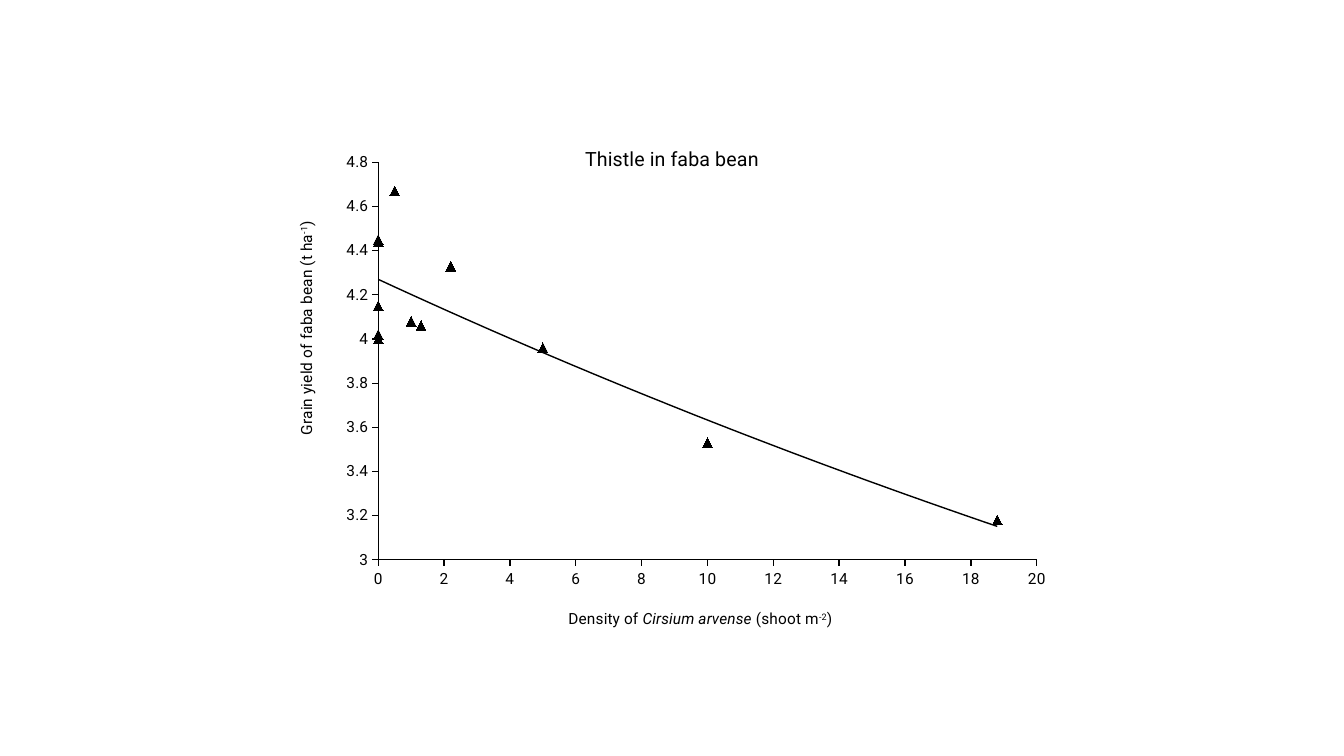
from lxml import etree
from pptx import Presentation
from pptx.chart.data import XyChartData
from pptx.dml.color import RGBColor
from pptx.enum.chart import XL_CHART_TYPE, XL_MARKER_STYLE, XL_TICK_LABEL_POSITION, XL_TICK_MARK
from pptx.oxml import parse_xml
from pptx.oxml.ns import nsdecls, qn
from pptx.util import Cm, Pt

BLACK = RGBColor(0, 0, 0)
FONT = "Roboto"
SCATTER = XL_CHART_TYPE.XY_SCATTER
TRIANGLE = XL_MARKER_STYLE.TRIANGLE
LABELS_LOW = XL_TICK_LABEL_POSITION.LOW
TICK_OUTSIDE = XL_TICK_MARK.OUTSIDE
TICK_NONE = XL_TICK_MARK.NONE

# Shoot density of the thistle, grain yield of the faba bean
OBSERVATIONS = [
    (0, 4.15), (0, 4.02), (10, 3.53), (1.3, 4.06), (18.8, 3.18), (5, 3.96),
    (0, 4.45), (0, 4), (0, 4.44), (1, 4.08), (0.5, 4.67), (2.2, 4.33),
]


def write_title(title, parts, size, left, top, rotation=0):
    """Fill a title with (text, italic, superscript) parts and place it by chart fractions."""
    frame = title.text_frame
    frame._txBody.bodyPr.set("rot", str(rotation * 60000))
    para = frame.paragraphs[0]
    para.font.size, para.font.bold = Pt(size), False
    for text, italic, superscript in parts:
        span = para.add_run()
        span.text = text
        span.font.name, span.font.size = FONT, Pt(size)
        span.font.bold, span.font.italic = False, italic
        span.font.color.rgb = BLACK
        if superscript:
            span.font._element.set("baseline", "30000")
    place(title._element, x=left, y=top)


def place(part, **fractions):
    """Give a chart part a manual layout in fractions of the chart."""
    layout = part.find(qn("c:layout"))
    if layout is None:
        layout = parse_xml(f"<c:layout {nsdecls('c')}/>")
        part.insert(0 if part.find(qn("c:tx")) is None else 1, layout)
    manual = etree.SubElement(layout, qn("c:manualLayout"))
    if "w" in fractions:
        etree.SubElement(manual, qn("c:layoutTarget")).set("val", "inner")
    for mode in ("xMode", "yMode"):
        etree.SubElement(manual, qn(f"c:{mode}")).set("val", "edge")
    for name, fraction in fractions.items():
        etree.SubElement(manual, qn(f"c:{name}")).set("val", str(fraction))


deck = Presentation()
deck.slide_width, deck.slide_height = Cm(33.87), Cm(19.05)
page = deck.slides.add_slide(deck.slide_layouts[6])

# Scatter chart
data = XyChartData()
yields = data.add_series("Series 1")
for density, grain_yield in OBSERVATIONS:
    yields.add_data_point(density, grain_yield)
chart = page.shapes.add_chart(SCATTER, Cm(6.76), Cm(3.02), Cm(20.24), Cm(13.74), data).chart
chart.has_legend = False
chart.font.name, chart.font.size = FONT, Pt(10)
chart.font.color.rgb = BLACK
place(chart._chartSpace.chart.plotArea, x=0.137, y=0.078, w=0.82, h=0.729)

# Axes
for axis, low, high, step, width in (
    (chart.category_axis, 0, 20, 2, 1),
    (chart.value_axis, 3, 4.8, 0.2, 0.75),
):
    axis.minimum_scale, axis.maximum_scale, axis.major_unit = low, high, step
    axis.has_major_gridlines = False
    axis.major_tick_mark, axis.minor_tick_mark = TICK_OUTSIDE, TICK_NONE
    axis.tick_label_position = LABELS_LOW
    axis.tick_labels.number_format = "General"
    axis.tick_labels.number_format_is_linked = False
    axis.tick_labels.font.name, axis.tick_labels.font.size = FONT, Pt(11)
    axis.tick_labels.font.color.rgb = BLACK
    axis.format.line.color.rgb = BLACK
    axis.format.line.width = Pt(width)

# Titles
chart.has_title = True
write_title(chart.chart_title, [("Thistle in faba bean", False, False)], 14, 0.39, 0.04)
write_title(
    chart.category_axis.axis_title,
    [("Density of ", False, False), ("Cirsium arvense", True, False),
     (" (shoot m", False, False), ("-2", False, True), (")", False, False)],
    11, 0.37, 0.89,
)
write_title(
    chart.value_axis.axis_title,
    [("Grain yield of faba bean (t ha", False, False), ("-1", False, True), (")", False, False)],
    11, 0.03, 0.18, rotation=-90,
)

# Markers and exponential trend
series = chart.plots[0].series[0]
series.format.line.fill.background()
series._element.get_or_add_smooth().val = False
series.marker.style, series.marker.size = TRIANGLE, 7
series.marker.format.fill.solid()
series.marker.format.fill.fore_color.rgb = BLACK
series.marker.format.line.fill.background()
trend = parse_xml(
    f"<c:trendline {nsdecls('c', 'a')}>"
    f'<c:spPr><a:ln w="{Pt(1)}"><a:solidFill><a:srgbClr val="{BLACK}"/></a:solidFill></a:ln></c:spPr>'
    '<c:trendlineType val="exp"/><c:dispRSqr val="0"/><c:dispEq val="0"/>'
    "</c:trendline>"
)
series._element.find(qn("c:xVal")).addprevious(trend)

deck.save("out.pptx")
